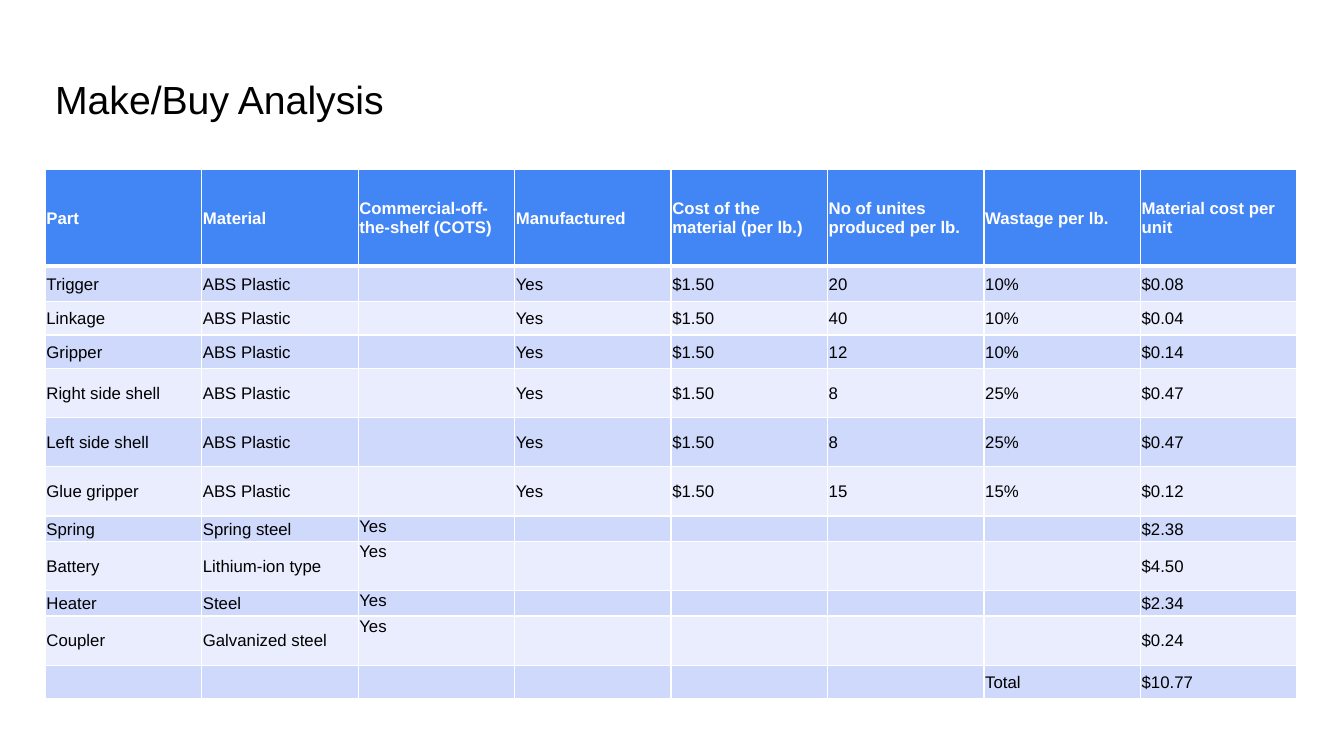
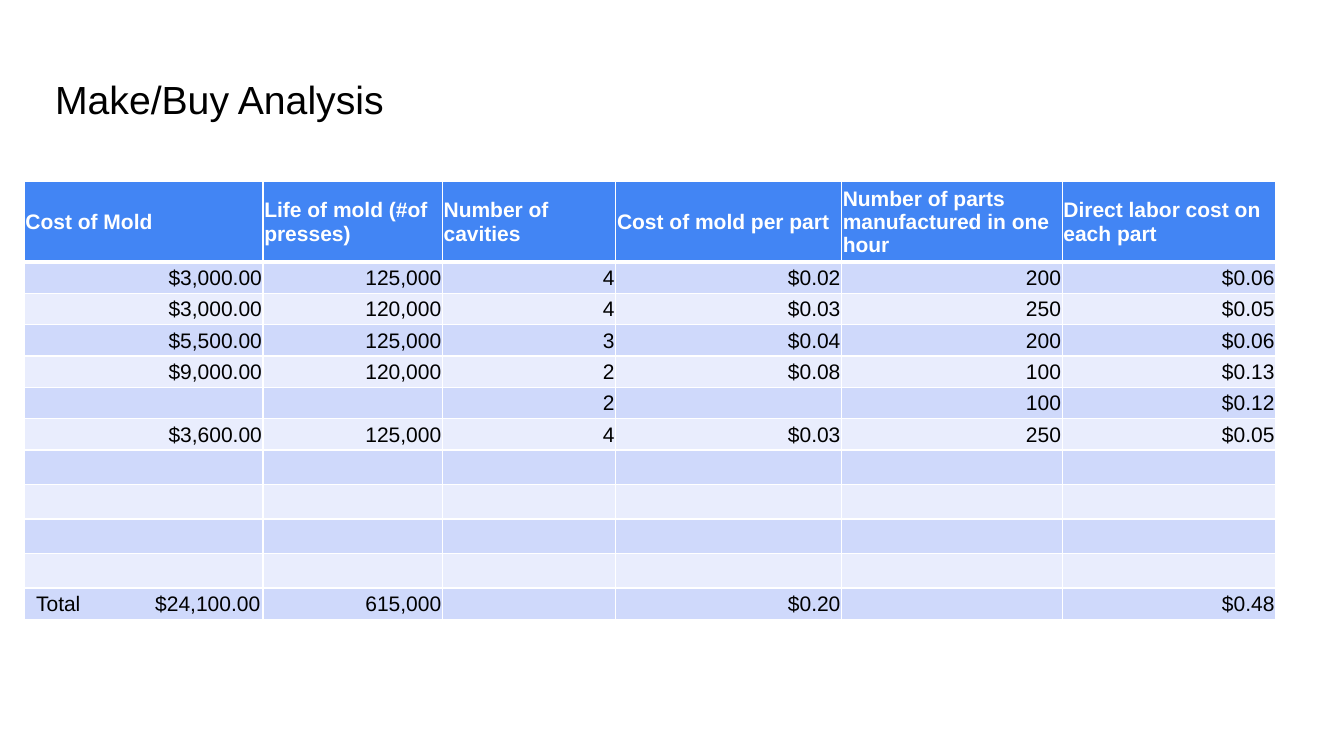
import pptx
import pptx.dml.color
import pptx.enum.text
import pptx.oxml.ns
import pptx.util
from lxml import etree

Cm = pptx.util.Cm
Pt = pptx.util.Pt
RGBColor = pptx.dml.color.RGBColor
ALIGN = pptx.enum.text.PP_ALIGN
ANCHOR = pptx.enum.text.MSO_ANCHOR
qn = pptx.oxml.ns.qn

# Shared style
FONT = "Arial"
BLACK = RGBColor(0x00, 0x00, 0x00)
WHITE = RGBColor(0xFF, 0xFF, 0xFF)
BLUE = RGBColor(0x42, 0x85, 0xF4)
BANDS = (RGBColor(0xE9, 0xED, 0xFD), RGBColor(0xCF, 0xD9, 0xFB))
TITLE = "Make/Buy Analysis"
WIDTH = 31.55
PAD = 0.03

# Part table
PARTS_HEAD = ["Part", "Material", "Commercial-off-the-shelf (COTS)",
              "Manufactured", "Cost of the material (per lb.)",
              "No of unites produced per lb.", "Wastage per lb.",
              "Material cost per unit"]
MADE = [("Trigger", "20", "10%", "$0.08"),
        ("Linkage", "40", "10%", "$0.04"),
        ("Gripper", "12", "10%", "$0.14"),
        ("Right side shell", "8", "25%", "$0.47"),
        ("Left side shell", "8", "25%", "$0.47"),
        ("Glue gripper", "15", "15%", "$0.12")]
BOUGHT = [("Spring", "Spring steel", "$2.38"),
          ("Battery", "Lithium-ion type", "$4.50"),
          ("Heater", "Steel", "$2.34"),
          ("Coupler", "Galvanized steel", "$0.24")]
PARTS = [
    PARTS_HEAD,
    *([part, "ABS Plastic", "", "Yes", "$1.50", units, waste, cost]
      for part, units, waste, cost in MADE),
    *([part, stuff, "Yes", "", "", "", "", cost]
      for part, stuff, cost in BOUGHT),
    [""] * 6 + ["Total", "$10.77"],
]
PARTS_HIGH = [2.44, 0.89, 0.84, 0.84, 1.24, 1.24, 1.24,
              0.64, 1.24, 0.64, 1.24, 0.84]
COTS = 2

# Mold table
MOLDS = [
    ["Cost of Mold", "Life of mold (#of presses)", "Number of cavities",
     "Cost of mold per part", "Number of parts manufactured in one hour",
     "Direct labor cost on each part"],
    ["$3,000.00", "125,000", "4", "$0.02", "200", "$0.06"],
    ["$3,000.00", "120,000", "4", "$0.03", "250", "$0.05"],
    ["$5,500.00", "125,000", "3", "$0.04", "200", "$0.06"],
    ["$9,000.00", "120,000", "2", "$0.08", "100", "$0.13"],
    ["", "", "2", "", "100", "$0.12"],
    ["$3,600.00", "125,000", "4", "$0.03", "250", "$0.05"],
    *([""] * 6 for _ in range(4)),
    ["Total\t$24,100.00", "615,000", "", "$0.20", "", "$0.48"],
]
MOLDS_WIDE = [6.02, 4.52, 4.37, 5.69, 5.56, 5.38]
MOLDS_HIGH = [2.03] + [0.79] * 6 + [0.87] * 4 + [0.79]


def write(frame, words, size=12, color=BLACK, bold=False, align=ALIGN.LEFT):
    """Fill the first paragraph of a text frame."""
    frame.word_wrap = True
    para = frame.paragraphs[0]
    para.alignment = align
    if not words:
        # The end mark sets the line height of an empty cell
        end = etree.SubElement(para._p, qn("a:endParaRPr"))
        end.set("sz", str(size * 100))
        return
    run = para.add_run()
    run.text = words
    run.font.name = FONT
    run.font.size = Pt(size)
    run.font.bold = bold
    run.font.color.rgb = color


def add_title(slide):
    box = slide.shapes.add_textbox(Cm(1.14), Cm(1.65), Cm(WIDTH), Cm(2.13))
    frame = box.text_frame
    frame.margin_left = frame.margin_right = Cm(0.25)
    frame.margin_top = frame.margin_bottom = Cm(0.25)
    frame.vertical_anchor = ANCHOR.TOP
    write(frame, TITLE, size=28)


def set_edges(cell, top, bottom):
    """Draw white cell borders; top and bottom are widths in points."""
    props = cell._tc.get_or_add_tcPr()
    sides = {"L": 1, "R": 1, "T": top, "B": bottom}
    for spot, (side, width) in enumerate(sides.items()):
        line = etree.Element(qn(f"a:ln{side}"), w=str(Pt(width)))
        fill = etree.SubElement(line, qn("a:solidFill"))
        etree.SubElement(fill, qn("a:srgbClr"), val=str(WHITE))
        props.insert(spot, line)


def set_tab(cell, stop):
    """Indent the cell and put a right tab at stop."""
    cell.margin_left = Cm(0.3)
    props = cell.text_frame.paragraphs[0]._p.get_or_add_pPr()
    tabs = etree.SubElement(props, qn("a:tabLst"))
    etree.SubElement(tabs, qn("a:tab"), pos=str(Cm(stop)), algn="r")


def add_grid(slide, rows, left, top, wide, high, size, align):
    """Add a banded table with a blue head row."""
    frame = slide.shapes.add_table(len(rows), len(wide), Cm(left), Cm(top),
                                   Cm(sum(wide)), Cm(sum(high)))
    table = frame.table
    table.horz_banding = False
    for col, width in zip(table.columns, wide):
        col.width = Cm(width)
    for row, height in zip(table.rows, high):
        row.height = Cm(height)
    for r, row in enumerate(rows):
        head = r == 0
        for c, words in enumerate(row):
            cell = table.cell(r, c)
            cell.margin_left = cell.margin_right = cell.margin_top = Cm(PAD)
            cell.margin_bottom = 0
            cell.vertical_anchor = ANCHOR.MIDDLE
            cell.fill.solid()
            cell.fill.fore_color.rgb = BLUE if head else BANDS[r % 2]
            set_edges(cell, 3 if r == 1 else 1, 3 if head else 1)
            tabbed = "\t" in words
            if tabbed:
                set_tab(cell, wide[c] - 0.37)
            write(cell.text_frame, words, size=size, bold=head,
                  color=WHITE if head else BLACK,
                  align=ALIGN.LEFT if head or tabbed else align)
    return table


def main():
    deck = pptx.Presentation()
    deck.slide_width, deck.slide_height = Cm(33.87), Cm(19.05)
    blank = deck.slide_layouts[6]

    # Material costs
    slide = deck.slides.add_slide(blank)
    add_title(slide)
    count = len(PARTS_HEAD)
    table = add_grid(slide, PARTS, 1.14, 4.27, [WIDTH / count] * count,
                     PARTS_HIGH, 12, ALIGN.LEFT)
    first = len(MADE) + 1
    for r in range(first, first + len(BOUGHT)):
        table.cell(r, COTS).vertical_anchor = ANCHOR.TOP

    # Mold and labor costs
    slide = deck.slides.add_slide(blank)
    add_title(slide)
    add_grid(slide, MOLDS, 0.61, 4.57, MOLDS_WIDE, MOLDS_HIGH, 15,
             ALIGN.RIGHT)

    deck.save("out.pptx")


if __name__ == "__main__":
    main()
